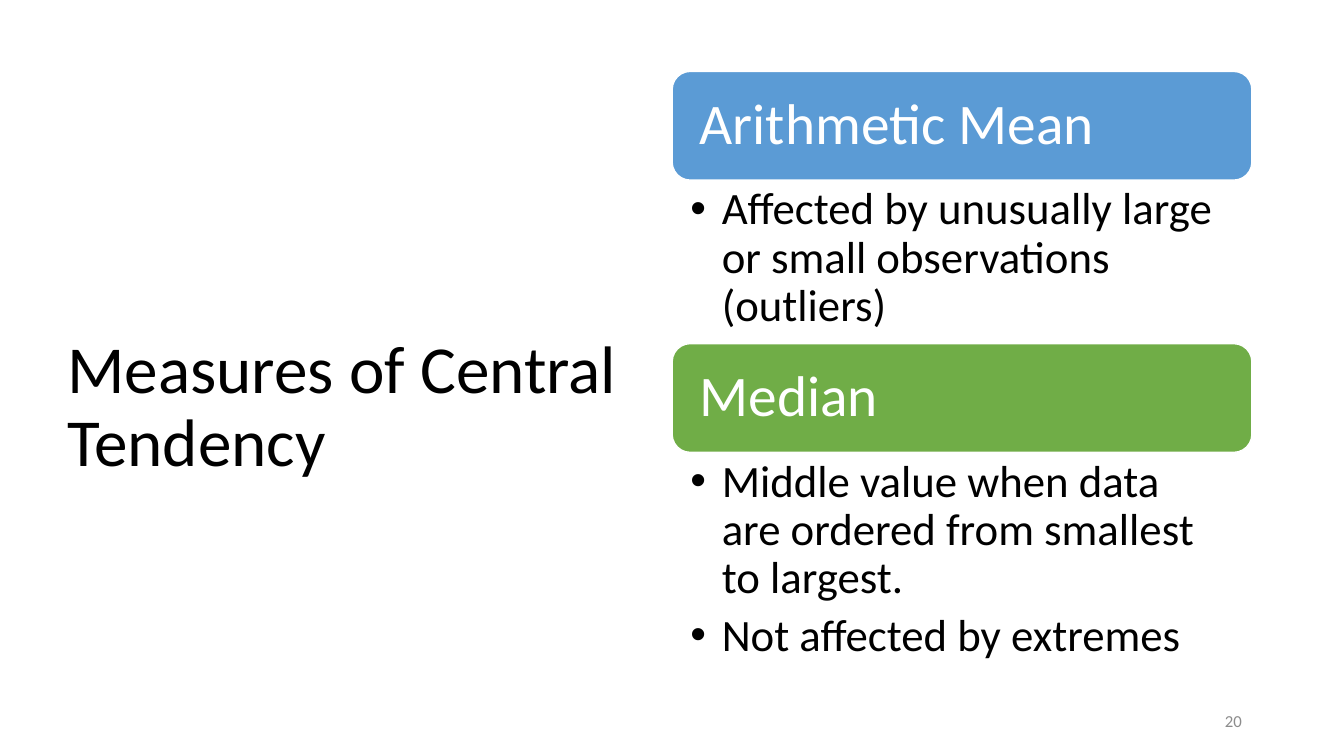
from lxml import etree
from pptx import Presentation
from pptx.dml.color import RGBColor
from pptx.enum import shapes, text
from pptx.oxml.ns import qn
from pptx.util import Cm, Pt

TITLE = "Measures of Central Tendency"
PAGE_NUMBER = "20"
# heading, fill colour, points, height of the points in cm
MEASURES = [
    ("Arithmetic Mean", "5B9BD5",
     ["Affected by unusually large or small observations (outliers)"], 4.12),
    ("Median", "70AD47",
     ["Middle value when data are ordered from smallest to largest.",
      "Not affected by extremes"], 5.54),
]
THEME = {
    "font": "Calibri", "ink": "000000", "light": "FFFFFF", "muted": "8C8C8C",
    "title": 48, "heading": 41, "point": 32, "number": 12,
}
COLUMN_LEFT, COLUMN_TOP, COLUMN_WIDTH = 16.94, 1.8, 14.61
HEADING_HEIGHT = 2.74
BULLET_INDENT = 0.79


def write(box, lines, size, color="ink", align=text.PP_ALIGN.LEFT,
          anchor=text.MSO_ANCHOR.MIDDLE, insets=(0.25, 0.13, 0.25, 0.13),
          line_spacing=0.9, space_after=0, bullet=False):
    """Fill a shape with paragraphs; insets are left, top, right, bottom in cm."""
    frame = box.text_frame
    frame.word_wrap = True
    frame.vertical_anchor = anchor
    (frame.margin_left, frame.margin_top,
     frame.margin_right, frame.margin_bottom) = map(Cm, insets)
    for index, line in enumerate(lines):
        para = frame.add_paragraph() if index else frame.paragraphs[0]
        para.alignment = align
        para.line_spacing = line_spacing
        para.space_before = Pt(0)
        para.space_after = Pt(space_after)
        if bullet:
            add_bullet(para)
        span = para.add_run()
        span.text = line
        span.font.name = THEME["font"]
        span.font.size = Pt(THEME[size])
        span.font.color.rgb = RGBColor.from_string(THEME[color])


def add_bullet(para):
    properties = para._p.get_or_add_pPr()
    properties.set("marL", str(Cm(BULLET_INDENT)))
    properties.set("indent", str(-Cm(BULLET_INDENT)))
    etree.SubElement(properties, qn("a:buFont")).set("typeface", "Arial")
    etree.SubElement(properties, qn("a:buChar")).set("char", "•")


def add_heading(page, top, heading, fill):
    bar = page.shapes.add_shape(
        shapes.MSO_SHAPE.ROUNDED_RECTANGLE, Cm(COLUMN_LEFT), Cm(top),
        Cm(COLUMN_WIDTH), Cm(HEADING_HEIGHT))
    bar.shadow.inherit = False
    bar.fill.solid()
    bar.fill.fore_color.rgb = RGBColor.from_string(fill)
    bar.line.color.rgb = RGBColor.from_string(THEME["light"])
    bar.line.width = Pt(1)
    write(bar, [heading], "heading", color="light", insets=(0.56,) * 4)


def add_text_box(page, left, top, width, height):
    return page.shapes.add_textbox(Cm(left), Cm(top), Cm(width), Cm(height))


def main():
    deck = Presentation()
    deck.slide_width, deck.slide_height = Cm(33.87), Cm(19.05)
    page = deck.slides.add_slide(deck.slide_layouts[6])

    # The deep top inset sets the title below the middle of its box.
    write(add_text_box(page, 1.45, 1.73, 14.4, 15.29), [TITLE], "title",
          insets=(0.25, 1.97, 0.25, 0.13))
    write(add_text_box(page, 23.93, 17.65, 7.62, 1.02), [PAGE_NUMBER], "number",
          color="muted", align=text.PP_ALIGN.RIGHT, line_spacing=1.0)

    top = COLUMN_TOP
    for heading, fill, points, height in MEASURES:
        add_heading(page, top, heading, fill)
        top += HEADING_HEIGHT
        box = add_text_box(page, COLUMN_LEFT, top, COLUMN_WIDTH, height)
        write(box, points, "point", anchor=text.MSO_ANCHOR.TOP,
              insets=(0.46, 0.15, 0.81, 0.15), space_after=6.4, bullet=True)
        top += height

    deck.save("out.pptx")


if __name__ == "__main__":
    main()
